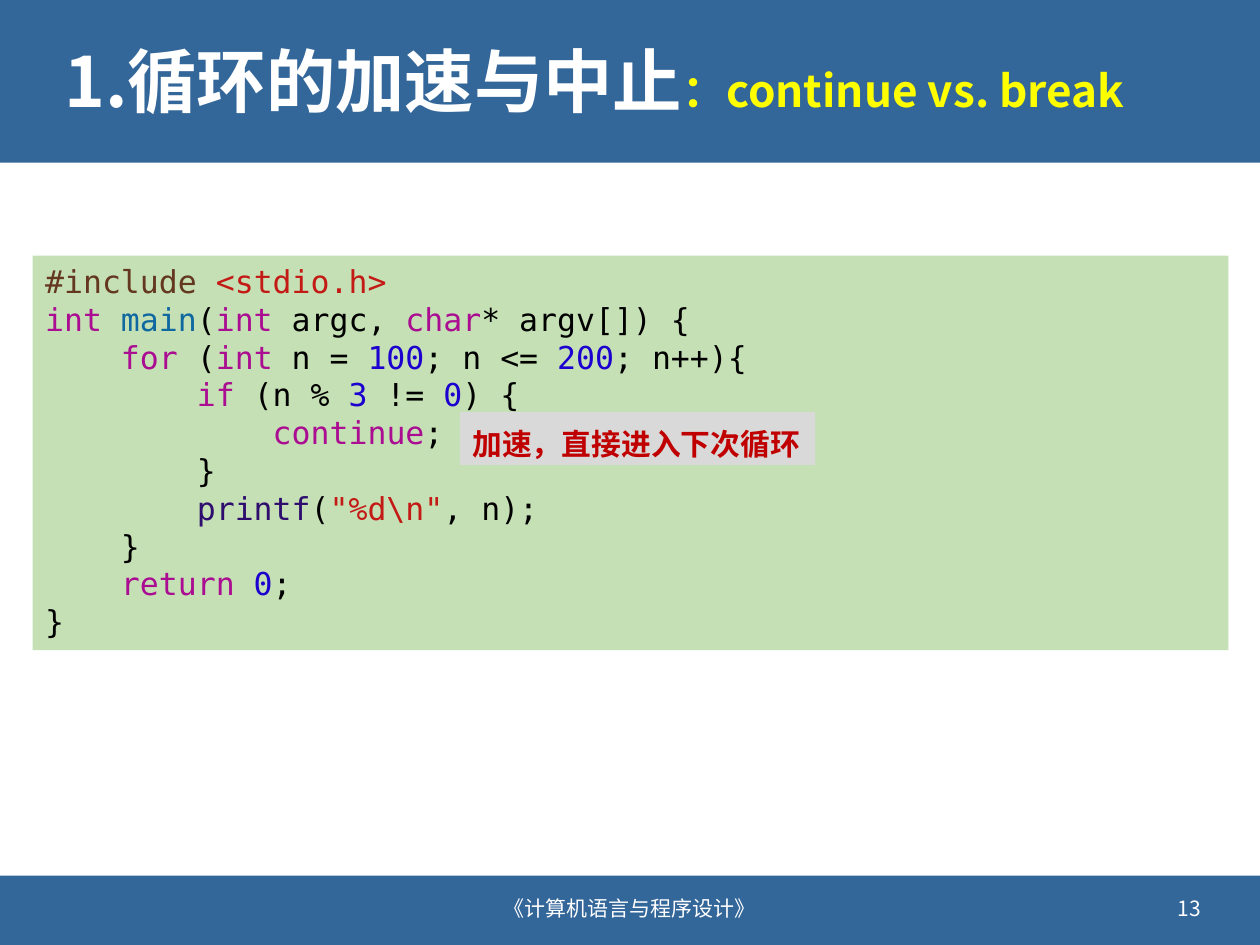
from lxml.etree import SubElement
from pptx import Presentation
from pptx.dml.color import RGBColor
from pptx.enum.shapes import MSO_SHAPE
from pptx.enum.text import MSO_ANCHOR as Anchor, PP_ALIGN as Align
from pptx.oxml.ns import qn
from pptx.util import Inches, Pt

SANS, MONO = "Noto Sans CJK SC", "DejaVu Sans Mono"
BLUE, GREEN, GREY = "336699", "C5E0B4", "D9D9D9"
WHITE, YELLOW, RED = "FFFFFF", "FFFF00", "C00000"
PLAIN, KEYWORD, NUMBER, STRING = "000000", "AA0D91", "1C00CF", "C41A16"
DIRECTIVE, FUNCTION, LIBRARY = "643820", "0F68A0", "2E0D6E"

# Each line: indent level, then (text, colour) runs
CODE = [
    (0, [("#include ", DIRECTIVE), ("<stdio.h>", STRING)]),
    (0, [("int ", KEYWORD), ("main", FUNCTION), ("(", PLAIN), ("int ", KEYWORD),
         ("argc, ", PLAIN), ("char", KEYWORD), ("* argv[]) {", PLAIN)]),
    (1, [("for", KEYWORD), (" (", PLAIN), ("int ", KEYWORD), ("n = ", PLAIN),
         ("100", NUMBER), ("; n <= ", PLAIN), ("200", NUMBER), ("; n++){", PLAIN)]),
    (2, [("if", KEYWORD), (" (n % ", PLAIN), ("3", NUMBER), (" != ", PLAIN),
         ("0", NUMBER), (") {", PLAIN)]),
    (3, [("continue", KEYWORD), (";", PLAIN)]),
    (2, [("}", PLAIN)]),
    (2, [("printf", LIBRARY), ("(", PLAIN), ('"%d\\n"', STRING), (", n);", PLAIN)]),
    (1, [("}", PLAIN)]),
    (1, [("return ", KEYWORD), ("0", NUMBER), (";", PLAIN)]),
    (0, [("}", PLAIN)]),
]


def color(hex_value):
    return RGBColor.from_string(hex_value)


class SlideBuilder:
    def __init__(self, presentation):
        self.slide = presentation.slides.add_slide(presentation.slide_layouts[5])

    def run(self, paragraph, text, size, hex_value, font_name=SANS, bold=False):
        run = paragraph.add_run()
        run.text = text
        font = run.font
        font.size, font.bold, font.name = Pt(size), bold, font_name
        font.color.rgb = color(hex_value)
        east_asian = SubElement(run._r.get_or_add_rPr(), qn("a:ea"))
        east_asian.set("typeface", font_name)

    def rectangle(self, left, top, width, height, fill):
        shape = self.slide.shapes.add_shape(
            MSO_SHAPE.RECTANGLE, Inches(left), Inches(top), Inches(width), Inches(height))
        shape.shadow.inherit = False
        shape.fill.solid()
        shape.fill.fore_color.rgb = color(fill)
        shape.line.fill.background()
        shape.text_frame.word_wrap = True
        shape.text_frame.vertical_anchor = Anchor.TOP
        shape.text_frame.paragraphs[0].alignment = Align.LEFT
        return shape

    def title(self, left, top, width, height, runs):
        title = self.slide.shapes.title
        title.left, title.top = Inches(left), Inches(top)
        title.width, title.height = Inches(width), Inches(height)
        title.text_frame.vertical_anchor = Anchor.MIDDLE
        paragraph = title.text_frame.paragraphs[0]
        paragraph.alignment = Align.LEFT
        paragraph.line_spacing = 0.9
        for text, size, hex_value in runs:
            self.run(paragraph, text, size, hex_value, bold=True)
        # The placeholder comes first in the tree; bring it in front of the band
        self.slide.shapes.element.append(title.element)

    def code(self, left, top, width, height, lines):
        frame = self.rectangle(left, top, width, height, GREEN).text_frame
        for index, (level, runs) in enumerate(lines):
            paragraph = frame.add_paragraph() if index else frame.paragraphs[0]
            paragraph.alignment = Align.LEFT
            if level:
                runs = [("    " * level, PLAIN)] + runs
            for text, hex_value in runs:
                self.run(paragraph, text, 18, hex_value, MONO)

    def note(self, left, top, width, height, text):
        shape = self.rectangle(left, top, width, height, GREY)
        paragraph = shape.text_frame.paragraphs[0]
        paragraph.line_spacing = 1.2
        self.run(paragraph, text, 17, RED, bold=True)

    def footer(self, left, width, text, alignment):
        box = self.slide.shapes.add_textbox(
            Inches(left), Inches(7.01), Inches(width), Inches(0.4))
        box.text_frame.word_wrap = True
        box.text_frame.vertical_anchor = Anchor.MIDDLE
        paragraph = box.text_frame.paragraphs[0]
        paragraph.alignment = alignment
        self.run(paragraph, text, 12, WHITE)


def main():
    presentation = Presentation()
    presentation.slide_width, presentation.slide_height = Inches(10), Inches(7.5)
    builder = SlideBuilder(presentation)
    builder.rectangle(0, 0, 10, 1.29, BLUE)
    builder.rectangle(0, 6.95, 10, 0.55, BLUE)
    builder.code(0.26, 2.03, 9.49, 3.13, CODE)
    builder.title(0.41, 0.18, 9.19, 0.99, [
        ("1.循环的加速与中止", 39.6, WHITE), ("：continue vs. break", 25.2, YELLOW)])
    builder.footer(3.2, 3.6, "《计算机语言与程序设计》", Align.CENTER)
    builder.note(3.65, 3.27, 2.82, 0.42, "加速，直接进入下次循环")
    builder.footer(7.23, 2.4, "13", Align.RIGHT)
    presentation.save("out.pptx")


if __name__ == "__main__":
    main()
